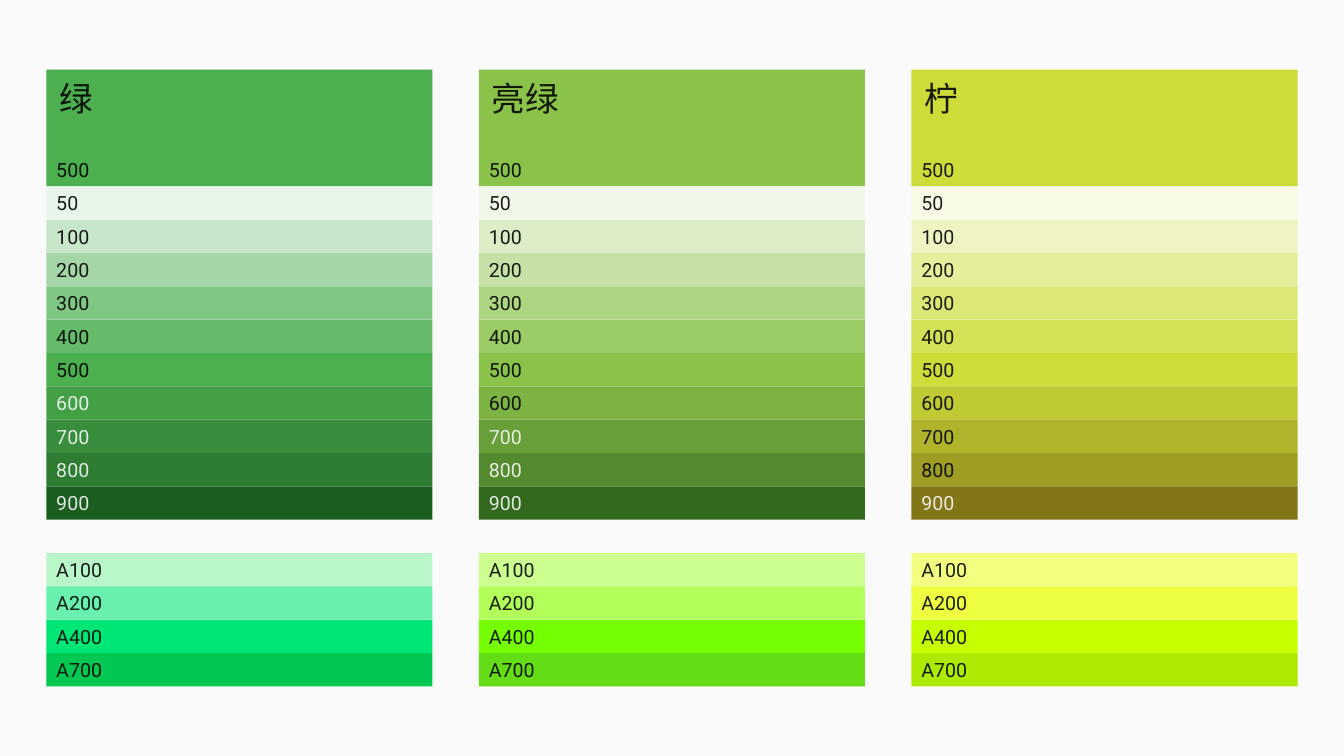
from lxml import etree
from pptx import Presentation
from pptx.dml.color import RGBColor
from pptx.enum.shapes import MSO_SHAPE
from pptx.enum.text import MSO_ANCHOR, MSO_AUTO_SIZE, PP_ALIGN
from pptx.oxml.ns import qn
from pptx.util import Inches, Pt

RECTANGLE = MSO_SHAPE.RECTANGLE
BOTTOM, MIDDLE = MSO_ANCHOR.BOTTOM, MSO_ANCHOR.MIDDLE
FIT_TEXT = MSO_AUTO_SIZE.SHAPE_TO_FIT_TEXT
LEFT = PP_ALIGN.LEFT

DARK, LIGHT = "000000", "FAFAFA"
MARGIN, TOP, WIDTH, COLUMN_STEP = 0.46, 0.69, 3.83, 4.29
HEADER_HEIGHT = 1.16
SWATCH_HEIGHT = 4.96 / 15
SHADES = ["50", "100", "200", "300", "400", "500", "600", "700", "800", "900"]
ACCENTS = ["A100", "A200", "A400", "A700"]

PALETTES = [
    ("绿", 0.54, ["600", "700", "800", "900"],
     ["E8F5E9", "C8E6C9", "A5D6A7", "81C784", "66BB6A",
      "4CAF50", "43A047", "388E3C", "2E7D32", "1B5E20"],
     ["B9F6CA", "69F0AE", "00E676", "00C853"]),
    ("亮绿", 0.88, ["700", "800", "900"],
     ["F1F8E9", "DCEDC8", "C5E1A5", "AED581", "9CCC65",
      "8BC34A", "7CB342", "689F38", "558B2F", "33691E"],
     ["CCFF90", "B2FF59", "76FF03", "64DD17"]),
    ("柠", 0.54, ["900"],
     ["F9FBE7", "F0F4C3", "E6EE9C", "DCE775", "D4E157",
      "CDDC39", "C0CA33", "AFB42B", "9E9D24", "827717"],
     ["F4FF81", "EEFF41", "C6FF00", "AEEA00"]),
]


def paint(fill, color):
    fill.solid()
    fill.fore_color.rgb = RGBColor.from_string(color)


def write(box, text, size, font, color):
    box.text_frame.text = text
    para = box.text_frame.paragraphs[0]
    para.alignment = LEFT
    span = para.runs[0]
    span.font.size = Pt(size)
    span.font.name = font
    paint(span.font.fill, color)
    properties = span.font._element
    tint = properties.find(".//" + qn("a:srgbClr"))
    etree.SubElement(tint, qn("a:alpha"), val="87000")
    east_asian = etree.Element(qn("a:ea"), typeface=font)
    properties.find(qn("a:latin")).addnext(east_asian)


deck = Presentation()
deck.slide_width, deck.slide_height = Inches(13.33), Inches(7.5)
page = deck.slides.add_slide(deck.slide_layouts[6])
paint(page.background.fill, LIGHT)

for column, (name, name_width, light_labels, shades, accents) in enumerate(PALETTES):
    left = MARGIN + column * COLUMN_STEP
    swatches_top = TOP + HEADER_HEIGHT
    accents_top = swatches_top + (len(SHADES) + 1) * SWATCH_HEIGHT

    swatches = [("500", shades[SHADES.index("500")], TOP, HEADER_HEIGHT, BOTTOM)]
    for labels, colors, group_top in (
        (SHADES, shades, swatches_top),
        (ACCENTS, accents, accents_top),
    ):
        for row, (label, color) in enumerate(zip(labels, colors)):
            swatch_top = group_top + row * SWATCH_HEIGHT
            swatches.append((label, color, swatch_top, SWATCH_HEIGHT, MIDDLE))

    for label, color, top, height, anchor in swatches:
        swatch = page.shapes.add_shape(
            RECTANGLE, Inches(left), Inches(top), Inches(WIDTH), Inches(height))
        swatch.shadow.inherit = False
        swatch.line.fill.background()
        paint(swatch.fill, color)
        swatch.text_frame.vertical_anchor = anchor
        write(swatch, label, 14, "Roboto", LIGHT if label in light_labels else DARK)

    name_box = page.shapes.add_textbox(
        Inches(left + 0.03), Inches(TOP + 0.03), Inches(name_width), Inches(0.5))
    name_box.text_frame.word_wrap = False
    name_box.text_frame.auto_size = FIT_TEXT
    write(name_box, name, 24, "Noto Sans CJK SC", DARK)

deck.save("out.pptx")
